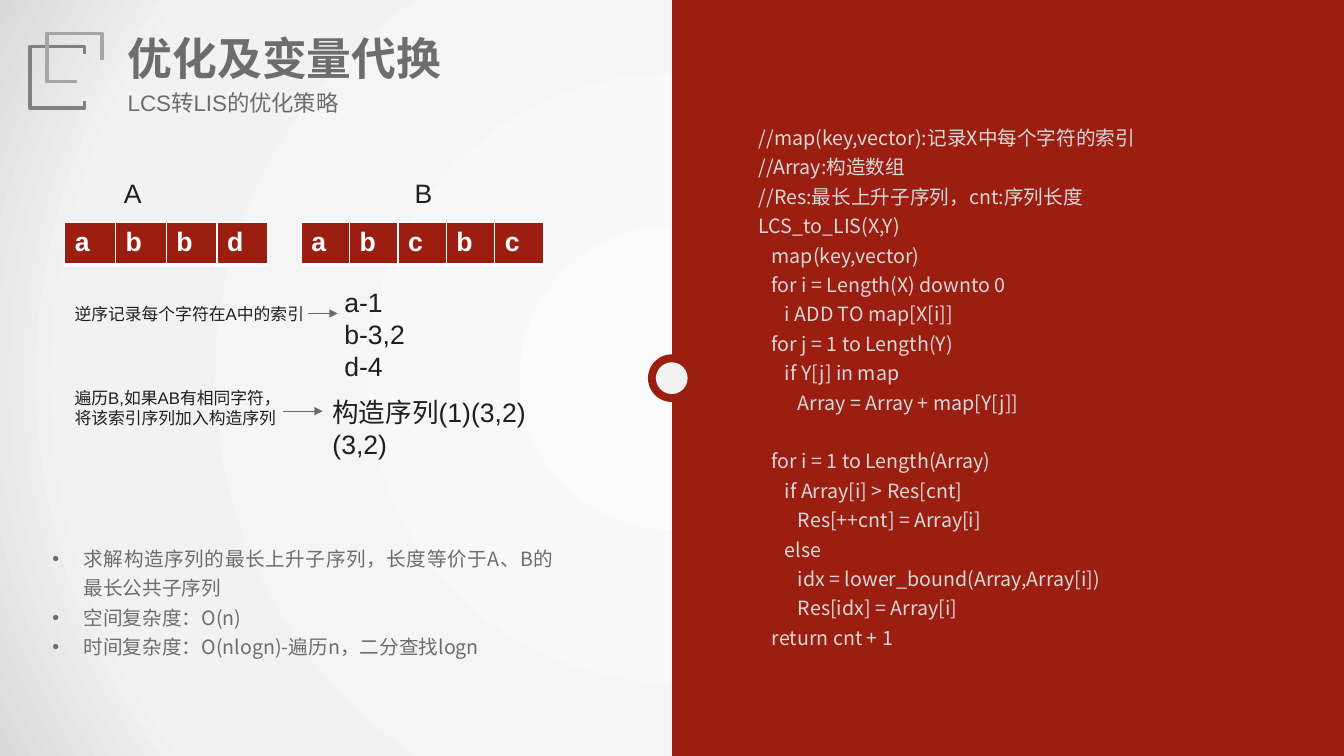
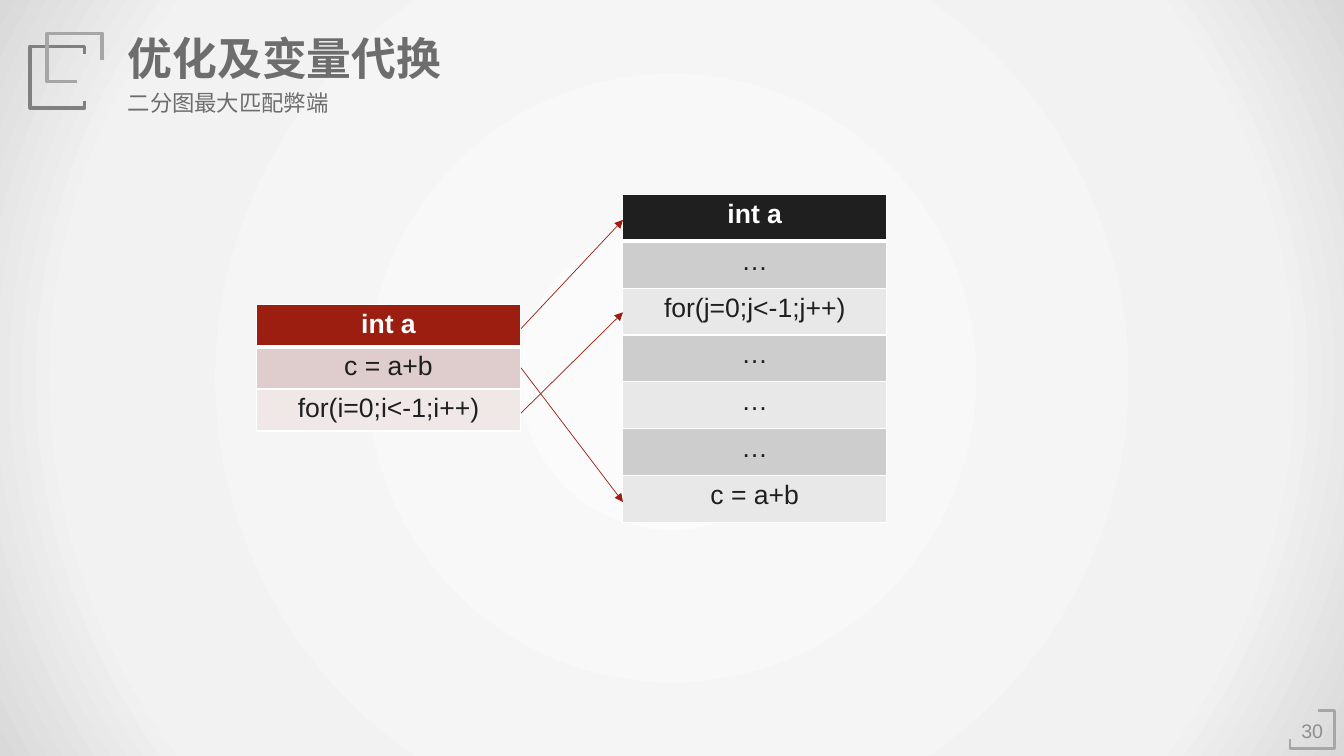
from pptx import Presentation
from pptx import util as u
from pptx.dml.color import RGBColor
from pptx.enum import shapes, text
from pptx.oxml import parse_xml
from pptx.oxml.ns import nsdecls, qn

Cm, Pt = u.Cm, u.Pt
RED, INK, GREY, WHITE = "9B1E11", "1F1F1F", "6D6D6D", "FFFFFF"
PALE, MIST, BRACKET = "F2F2F2", "D9D9D9", "A6A6A6"
SANS, CJK = "Arial", "Noto Sans CJK SC"
CENTER, JUSTIFY = text.PP_ALIGN.CENTER, text.PP_ALIGN.JUSTIFY


def rgb(value):
    return RGBColor.from_string(value)


def add_text(s, box, lines, size, color, font=SANS, bold=False,
             align=None, spacing=None, wrap=True):
    """Add a text box, one paragraph per line, and return its text frame."""
    tf = s.shapes.add_textbox(*map(Cm, box)).text_frame
    tf.word_wrap = wrap
    for i, line in enumerate(lines):
        p = tf.paragraphs[0] if i == 0 else tf.add_paragraph()
        p.alignment = align
        p.line_spacing = spacing
        r = p.add_run()
        r.text = line
        r.font.name, r.font.size, r.font.bold = font, Pt(size), bold
        r.font.color.rgb = rgb(color)
        r._r.get_or_add_rPr().append(
            parse_xml(f'<a:ea {nsdecls("a")} typeface="{CJK}"/>'))
    return tf


prs = Presentation()
prs.slide_width, prs.slide_height = Cm(33.87), Cm(19.05)

# Shared look: radial background, corner brackets, title and subtitle
stops = "".join(f'<a:gs pos="{pos}000"><a:srgbClr val="{color}"/></a:gs>'
                for pos, color in [(0, "FBFBFB"), (79, PALE), (100, MIST)])
gradient = (f'<a:gradFill {nsdecls("a")} rotWithShape="1"><a:gsLst>{stops}</a:gsLst>'
            '<a:path path="circle"><a:fillToRect l="50000" t="50000" r="50000" b="50000"/>'
            '</a:path></a:gradFill>')
title_brackets = [
    ("808080", 2.5, [(2.13, 1.37), (2.13, 1.17), (0.76, 1.17),
                     (0.76, 2.72), (2.13, 2.72), (2.13, 2.54)]),
    (BRACKET, 2.5, [(2.57, 1.52), (2.57, 0.84), (1.19, 0.84),
                    (1.19, 2.06), (1.93, 2.06)]),
]
page_bracket = (BRACKET, 2, [(32.51, 18.62), (32.51, 18.87), (33.63, 18.87),
                             (33.63, 17.91), (33.22, 17.91)])

for subtitle, brackets in [("LCS转LIS的优化策略", title_brackets),
                           ("二分图最大匹配弊端", title_brackets + [page_bracket])]:
    s = prs.slides.add_slide(prs.slide_layouts[6])
    back = s.shapes.add_shape(shapes.MSO_SHAPE.RECTANGLE, 0, 0,
                              prs.slide_width, prs.slide_height)
    back.shadow.inherit = False
    back.line.fill.background()
    back.fill.gradient()
    spPr = back._element.spPr
    spPr.replace(spPr.find(qn("a:gradFill")), parse_xml(gradient))
    for color, width, points in brackets:
        start, *rest = [(Cm(x), Cm(y)) for x, y in points]
        builder = s.shapes.build_freeform(*start)
        builder.add_line_segments(rest, close=False)
        bracket = builder.convert_to_shape()
        bracket.shadow.inherit = False
        bracket.fill.background()
        bracket.line.color.rgb = rgb(color)
        bracket.line.width = Pt(width)
    add_text(s, (2.97, 0.64, 8.48, 1.63), ["优化及变量代换"], 32, GREY,
             bold=True, wrap=False)
    add_text(s, (2.97, 2.11, 6.4, 0.94), [subtitle], 16, GREY)

lcs, matching = prs.slides

# Slide 1: red panel with a ring on its edge
for kind, box, color in [
    (shapes.MSO_SHAPE.RECTANGLE, (16.94, 0, 16.93, 19.05), RED),
    (shapes.MSO_SHAPE.OVAL, (16.33, 8.93, 1.2, 1.2), RED),
    (shapes.MSO_SHAPE.OVAL, (16.53, 9.13, 0.8, 0.8), PALE),
]:
    sp = lcs.shapes.add_shape(kind, *map(Cm, box))
    sp.shadow.inherit = False
    sp.fill.solid()
    sp.fill.fore_color.rgb = rgb(color)
    sp.line.fill.background()

# Slide 1: pseudocode as (indent level, line)
code = [
    (0, "//map(key,vector):记录X中每个字符的索引"),
    (0, "//Array:构造数组"),
    (0, "//Res:最长上升子序列，cnt:序列长度"),
    (0, "LCS_to_LIS(X,Y)"),
    (1, "map(key,vector)"),
    (1, "for i = Length(X) downto 0"),
    (2, "i ADD TO map[X[i]]"),
    (1, "for j = 1 to Length(Y)"),
    (2, "if Y[j] in map"),
    (3, "Array = Array + map[Y[j]]"),
    (1, "for i = 1 to Length(Array)"),
    (2, "if Array[i] > Res[cnt]"),
    (3, "Res[++cnt] = Array[i]"),
    (2, "else"),
    (3, "idx = lower_bound(Array,Array[i])"),
    (3, "Res[idx] = Array[i]"),
    (1, "return cnt + 1"),
]
tf = add_text(lcs, (18.87, 2.9, 11.07, 13.67), [line for _, line in code],
              14, MIST, font=CJK, spacing=Pt(21))
for p, (level, _) in zip(tf.paragraphs, code):
    p._p.get_or_add_pPr().set("marL", str(Cm(0.33 * level)))
tf.paragraphs[10].space_before = Pt(21)

# Slide 1: bulleted conclusions
tf = add_text(lcs, (1.07, 13.51, 13.13, 3.94),
              ["求解构造序列的最长上升子序列，长度等价于A、B的最长公共子序列",
               "空间复杂度：O(n)",
               "时间复杂度：O(nlogn)-遍历n，二分查找logn"],
              14, GREY, font=CJK, align=JUSTIFY, spacing=Pt(21))
for p in tf.paragraphs:
    pPr = p._p.get_or_add_pPr()
    pPr.set("marL", str(Cm(0.79)))
    pPr.set("indent", str(-Cm(0.79)))
    pPr.append(parse_xml(f'<a:buFont {nsdecls("a")} typeface="{SANS}"/>'))
    pPr.append(parse_xml(f'<a:buChar {nsdecls("a")} char="•"/>'))

# Slide 1: labels and worked steps
for box, lines, size in [
    ((2.87, 4.34, 1.2, 1.02), ["A"], 19),
    ((10.2, 4.34, 1.2, 1.02), ["B"], 19),
    ((1.63, 7.52, 6.99, 0.76), ["逆序记录每个字符在A中的索引"], 12),
    ((8.43, 7.09, 4.6, 2.79), ["a-1", "b-3,2", "d-4"], 19),
    ((1.63, 9.65, 5.97, 1.27), ["遍历B,如果AB有相同字符，将该索引序列加入构造序列"], 12),
    ((8.13, 9.86, 6.43, 1.02), ["构造序列(1)(3,2)(3,2)"], 19),
]:
    add_text(lcs, box, lines, size, INK)

# Slide 2: page number
tf = add_text(matching, (32.51, 18.01, 1.12, 0.79), ["30"], 14, "8F8F8F", align=CENTER)
tf.vertical_anchor = text.MSO_ANCHOR.MIDDLE
tf.margin_left = tf.margin_right = tf.margin_top = tf.margin_bottom = 0

# Tables of both slides: header fill, then the alternating body fills
red_fills, dark_fills = (RED, "DECDCC", "EFE8E7"), (INK, "CDCDCD", "E8E8E8")
for s, left, top, col_width, row_height, fills, align, rows in [
    (lcs, 1.63, 5.61, 1.28, 1.06, red_fills, None, ["abbd"]),
    (lcs, 7.59, 5.61, 1.22, 1.06, red_fills, None, ["abcbc"]),
    (matching, 6.46, 7.68, 6.66, 1.06, red_fills, CENTER,
     [["int a"], ["c = a+b"], ["for(i=0;i<-1;i++)"]]),
    (matching, 15.69, 4.9, 6.66, 1.18, dark_fills, CENTER,
     [["int a"], ["…"], ["for(j=0;j<-1;j++)"], ["…"], ["…"], ["…"], ["c = a+b"]]),
]:
    n_rows, n_cols = len(rows), len(rows[0])
    table = s.shapes.add_table(n_rows, n_cols, Cm(left), Cm(top),
                               Cm(col_width * n_cols), Cm(row_height * n_rows)).table
    table.horz_banding = False
    for i, row in enumerate(rows):
        table.rows[i].height = Cm(row_height)
        for j, value in enumerate(row):
            cell = table.cell(i, j)
            cell.fill.solid()
            cell.fill.fore_color.rgb = rgb(fills[0] if i == 0 else fills[2 - i % 2])
            p = cell.text_frame.paragraphs[0]
            p.alignment = align
            r = p.add_run()
            r.text = value
            r.font.name, r.font.size, r.font.bold = SANS, Pt(19), i == 0
            r.font.color.rgb = rgb(WHITE if i == 0 else INK)
            for k, edge in enumerate("LRTB"):
                width = Pt(3 if (i, edge) in [(0, "B"), (1, "T")] else 1)
                cell._tc.get_or_add_tcPr().insert(k, parse_xml(
                    f'<a:ln{edge} {nsdecls("a")} w="{width}"><a:solidFill>'
                    f'<a:srgbClr val="{WHITE}"/></a:solidFill></a:ln{edge}>'))

# Arrows of both slides
for s, color, ends in [
    (lcs, "736666", (7.75, 7.9, 8.51, 7.9)),
    (lcs, "736666", (7.14, 10.36, 8.13, 10.36)),
    (matching, RED, (13.13, 8.28, 15.7, 5.54)),
    (matching, RED, (13.13, 9.27, 15.7, 12.65)),
    (matching, RED, (13.13, 10.41, 15.7, 7.87)),
]:
    arrow = s.shapes.add_connector(shapes.MSO_CONNECTOR.STRAIGHT, *map(Cm, ends))
    arrow.line.color.rgb = rgb(color)
    arrow.line.width = Pt(0.5)
    spPr = arrow._element.spPr
    spPr.find(qn("a:ln")).append(parse_xml(f'<a:tailEnd {nsdecls("a")} type="triangle"/>'))
    spPr.append(parse_xml(f'<a:effectLst {nsdecls("a")}/>'))

prs.save("out.pptx")
